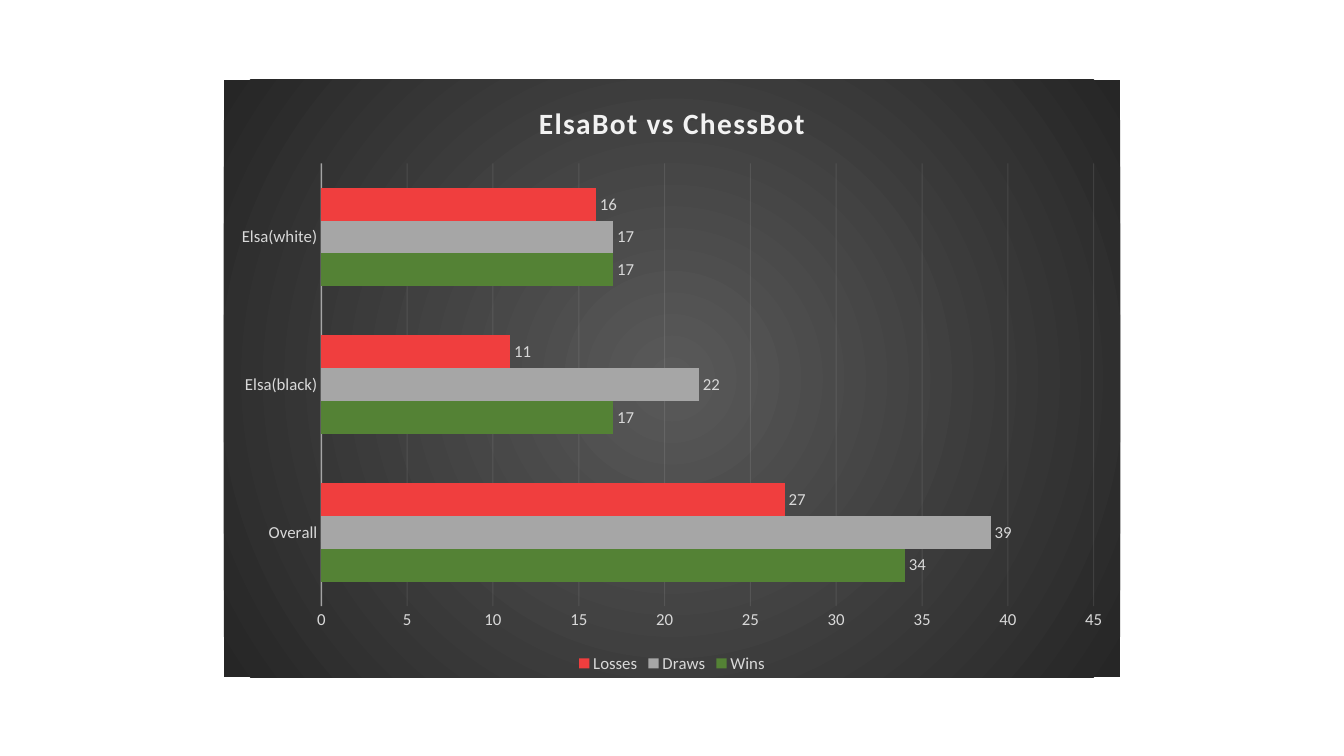
from lxml import etree
from pptx import Presentation
from pptx.chart.data import CategoryChartData
from pptx.dml.color import RGBColor
from pptx.enum.chart import XL_CHART_TYPE, XL_LABEL_POSITION, XL_LEGEND_POSITION, XL_TICK_MARK
from pptx.oxml import parse_xml
from pptx.oxml.ns import nsdecls, qn
from pptx.util import Inches, Pt

BAR = XL_CHART_TYPE.BAR_CLUSTERED
BOTTOM = XL_LEGEND_POSITION.BOTTOM
END = XL_LABEL_POSITION.OUTSIDE_END
NONE = XL_TICK_MARK.NONE


def style(font, size, color):
    font.name = "Calibri"
    font.size = Pt(size)
    font.color.rgb = RGBColor.from_string(color)


def rule(line, width, alpha):
    line.width = Pt(width)
    line.color.rgb = RGBColor.from_string("F2F2F2")
    color = line.fill._xPr.find(".//" + qn("a:srgbClr"))
    etree.SubElement(color, qn("a:alpha"), val=str(alpha * 1000))


deck = Presentation()
deck.slide_width = Inches(13.33)
deck.slide_height = Inches(7.5)
slide = deck.slides.add_slide(deck.slide_layouts[6])

bars = [
    ("Wins", (34, 17, 17), "548235"),
    ("Draws", (39, 22, 17), "A6A6A6"),
    ("Losses", (27, 11, 16), "F03E3E"),
]
data = CategoryChartData()
data.categories = ["Overall", "Elsa(black)", "Elsa(white)"]
for name, vals, color in bars:
    data.add_series(name, vals)

frame = slide.shapes.add_chart(
    BAR, Inches(2.22), Inches(0.79), Inches(8.89), Inches(5.93), data)
chart = frame.chart
style(chart.font, 12, "D9D9D9")

chart.has_title = True
title = chart.chart_title.text_frame.paragraphs[0]
run = title.add_run()
run.text = "ElsaBot vs ChessBot"
style(run.font, 21, "F2F2F2")
run.font.bold = True
run.font._element.set("spc", "100")
chart.chart_title.include_in_layout = False

chart.has_legend = True
chart.legend.position = BOTTOM
chart.legend.include_in_layout = False
style(chart.legend.font, 12, "D9D9D9")

for axis in (chart.category_axis, chart.value_axis):
    axis.major_tick_mark = NONE
    axis.minor_tick_mark = NONE
    style(axis.tick_labels.font, 12, "D9D9D9")
rule(chart.category_axis.format.line, 1, 54)
scale = chart.value_axis
scale.minimum_scale = 0
scale.maximum_scale = 45
scale.major_unit = 5
scale.format.line.fill.background()
rule(scale.major_gridlines.format.line, 0.75, 10)

plot = chart.plots[0]
plot.gap_width = 150
plot.overlap = 0
plot.vary_by_categories = False
for series, (name, vals, color) in zip(plot.series, bars):
    series.format.fill.solid()
    series.format.fill.fore_color.rgb = RGBColor.from_string(color)
    labels = series.data_labels
    labels.show_value = True
    labels.position = END
    style(labels.font, 12, "D9D9D9")

back = parse_xml(
    f'<c:spPr {nsdecls("c", "a")}><a:gradFill><a:gsLst>'
    '<a:gs pos="0"><a:srgbClr val="595959"/></a:gs>'
    '<a:gs pos="100000"><a:srgbClr val="262626"/></a:gs></a:gsLst>'
    '<a:path path="circle"><a:fillToRect l="50000" t="50000" r="50000" b="50000"/></a:path>'
    '</a:gradFill><a:ln><a:noFill/></a:ln></c:spPr>')
chart._chartSpace.find(qn("c:chart")).addnext(back)

deck.save("out.pptx")
